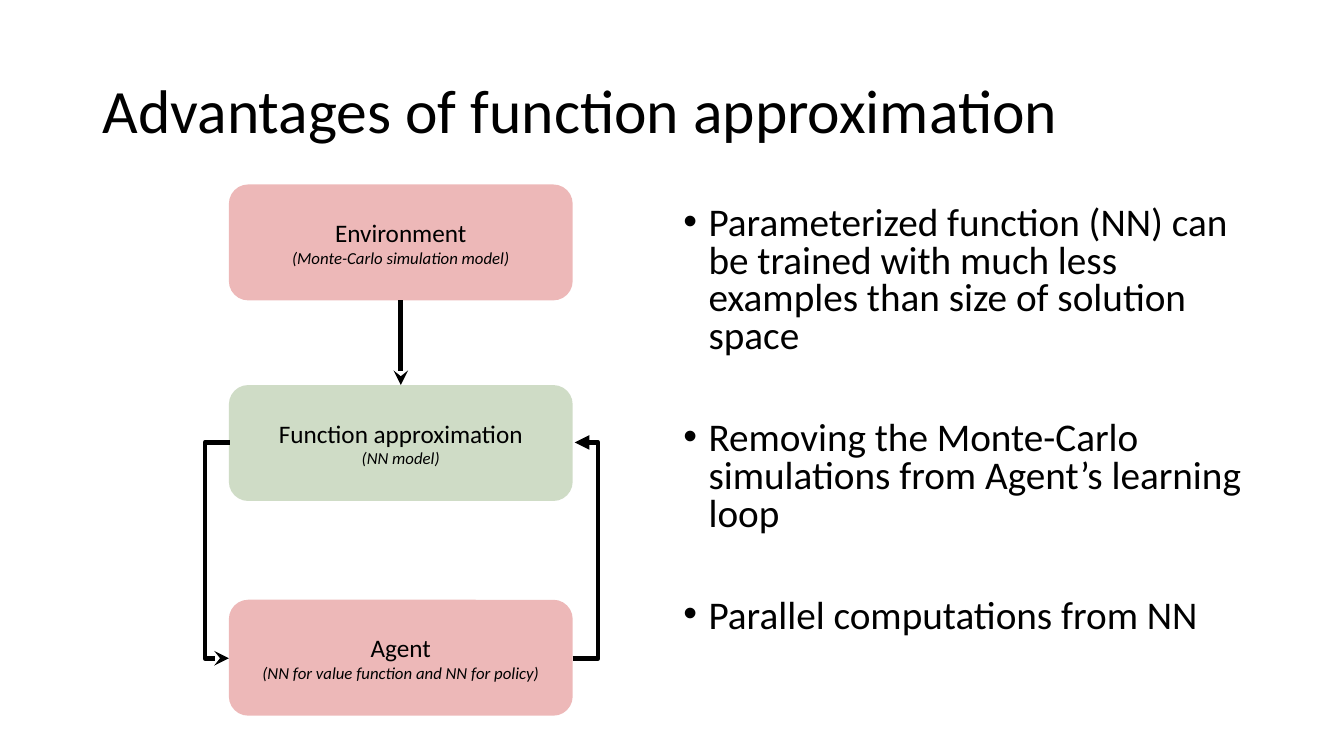
from dataclasses import dataclass

from lxml.etree import SubElement
from pptx import Presentation
from pptx.dml.color import RGBColor
from pptx.enum.shapes import MSO_CONNECTOR, MSO_SHAPE
from pptx.enum.text import MSO_ANCHOR, PP_ALIGN
from pptx.oxml.ns import qn
from pptx.util import Inches, Pt


@dataclass(frozen=True)
class Theme:
    font: str = "Calibri"
    ink: str = "000000"
    red: str = "C00000"
    green: str = "548235"
    alpha: int = 28
    title: int = 44
    body: int = 28
    label: int = 18
    note: int = 12
    line: float = 3.5


@dataclass(frozen=True)
class Box:
    label: str
    note: str
    top: float
    color: str


@dataclass(frozen=True)
class Arrow:
    start: tuple[float, float]
    end: tuple[float, float]
    head: str
    via: float | None = None  # x of the vertical run of an elbow


THEME = Theme()
BOX_LEFT, BOX_W, BOX_H = 2.27, 3.41, 1.15
BOX_RIGHT = BOX_LEFT + BOX_W
BOX_MID = BOX_LEFT + BOX_W / 2
LOOP_OUT = 0.25

ENVIRONMENT = Box("Environment", "(Monte-Carlo simulation model)", 1.83, THEME.red)
FUNCTION = Box("Function approximation", "(NN model)", 3.82, THEME.green)
AGENT = Box("Agent", "(NN for value function and NN for policy)", 5.95, THEME.red)

FUNCTION_Y, AGENT_Y = 4.39, 6.53
DOWN = Arrow((BOX_MID, ENVIRONMENT.top + BOX_H), (BOX_MID, FUNCTION.top), "stealth")
LOOP = [
    Arrow((BOX_LEFT + 0.01, FUNCTION_Y), (BOX_LEFT, AGENT_Y), "stealth",
          BOX_LEFT + 0.01 - LOOP_OUT),
    Arrow((BOX_RIGHT, AGENT_Y), (BOX_RIGHT + 0.02, FUNCTION_Y), "triangle",
          BOX_RIGHT + LOOP_OUT),
]

BULLETS = [
    "Parameterized function (NN) can be trained with much less "
    "examples than size of solution space",
    "Removing the Monte-Carlo simulations from Agent’s learning loop",
    "Parallel computations from NN",
]


def add_run(p, text: str, size: int, italic: bool = False) -> None:
    r = p.add_run()
    r.text = text
    values = {"name": THEME.font, "size": Pt(size), "italic": italic}
    for name, value in values.items():
        setattr(r.font, name, value)
    r.font.color.rgb = RGBColor.from_string(THEME.ink)


def add_text_frame(s, left: float, top: float, width: float, height: float,
                   anchor: MSO_ANCHOR):
    sp = s.shapes.add_textbox(*map(Inches, (left, top, width, height)))
    tf = sp.text_frame
    tf.word_wrap = True
    tf.vertical_anchor = anchor
    return tf


def add_bullet(p) -> None:
    pPr = p._p.get_or_add_pPr()
    indent = Inches(0.25)
    pPr.set("marL", str(indent))
    pPr.set("indent", str(-indent))
    SubElement(pPr, qn("a:buFont"), typeface="Arial")
    SubElement(pPr, qn("a:buChar"), char="•")


def add_box(s, box: Box):
    sp = s.shapes.add_shape(MSO_SHAPE.ROUNDED_RECTANGLE,
                            *map(Inches, (BOX_LEFT, box.top, BOX_W, BOX_H)))
    sp.shadow.inherit = False
    sp.line.fill.background()
    sp.fill.solid()
    sp.fill.fore_color.rgb = RGBColor.from_string(box.color)
    color = sp._element.spPr.find(qn("a:solidFill"))[0]
    SubElement(color, qn("a:alpha"), val=str(THEME.alpha * 1000))

    tf = sp.text_frame
    tf.word_wrap = True
    tf.vertical_anchor = MSO_ANCHOR.MIDDLE
    label, note = tf.paragraphs[0], tf.add_paragraph()
    label.alignment = note.alignment = PP_ALIGN.CENTER
    add_run(label, box.label, THEME.label)
    add_run(note, box.note, THEME.note, italic=True)
    return sp


def add_arrow(s, arrow: Arrow):
    kind = MSO_CONNECTOR.STRAIGHT if arrow.via is None else MSO_CONNECTOR.ELBOW
    cx = s.shapes.add_connector(kind, *map(Inches, arrow.start + arrow.end))
    cx.line.color.rgb = RGBColor.from_string(THEME.ink)
    cx.line.width = Pt(THEME.line)
    spPr = cx._element.spPr
    SubElement(spPr.find(qn("a:ln")), qn("a:tailEnd"), type=arrow.head)
    SubElement(spPr, qn("a:effectLst"))
    if arrow.via is not None:
        x1, x2 = arrow.start[0], arrow.end[0]
        ratio = round((arrow.via - x1) / (x2 - x1) * 100000)
        geom = spPr.find(qn("a:prstGeom"))
        SubElement(geom.get_or_add_avLst(), qn("a:gd"),
                   name="adj1", fmla=f"val {ratio}")
    return cx


def main() -> None:
    prs = Presentation()
    prs.slide_width, prs.slide_height = Inches(13.33), Inches(7.5)
    s = prs.slides.add_slide(prs.slide_layouts[6])

    # Title
    tf = add_text_frame(s, 0.92, 0.4, 11.5, 1.45, MSO_ANCHOR.MIDDLE)
    p = tf.paragraphs[0]
    p.line_spacing = 0.9
    add_run(p, "Advantages of function approximation", THEME.title)

    # Bullet list
    tf = add_text_frame(s, 6.68, 2, 5.74, 4.76, MSO_ANCHOR.TOP)
    for i, text in enumerate(BULLETS):
        p = tf.add_paragraph() if i else tf.paragraphs[0]
        p.line_spacing = 0.8
        p.space_before = Pt(46 if i else 0)
        add_bullet(p)
        add_run(p, text, THEME.body)

    # Boxes and the arrow joining the upper two
    environment, function, _ = [add_box(s, b) for b in (ENVIRONMENT, FUNCTION, AGENT)]
    down = add_arrow(s, DOWN)
    down.begin_connect(environment, 2)
    down.end_connect(function, 0)

    # Learning loop between function and agent
    for arrow in LOOP:
        add_arrow(s, arrow)

    prs.save("out.pptx")


if __name__ == "__main__":
    main()
